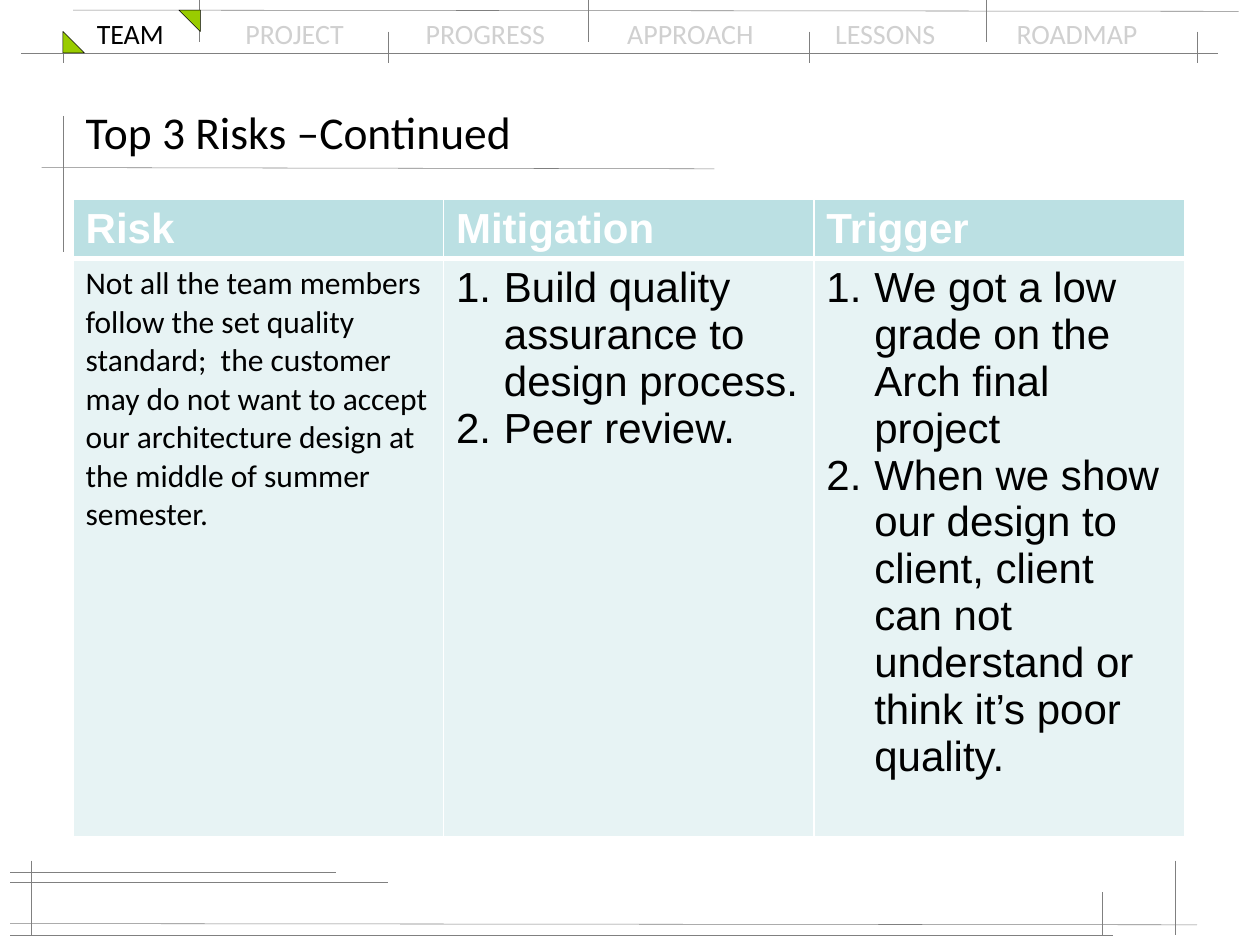
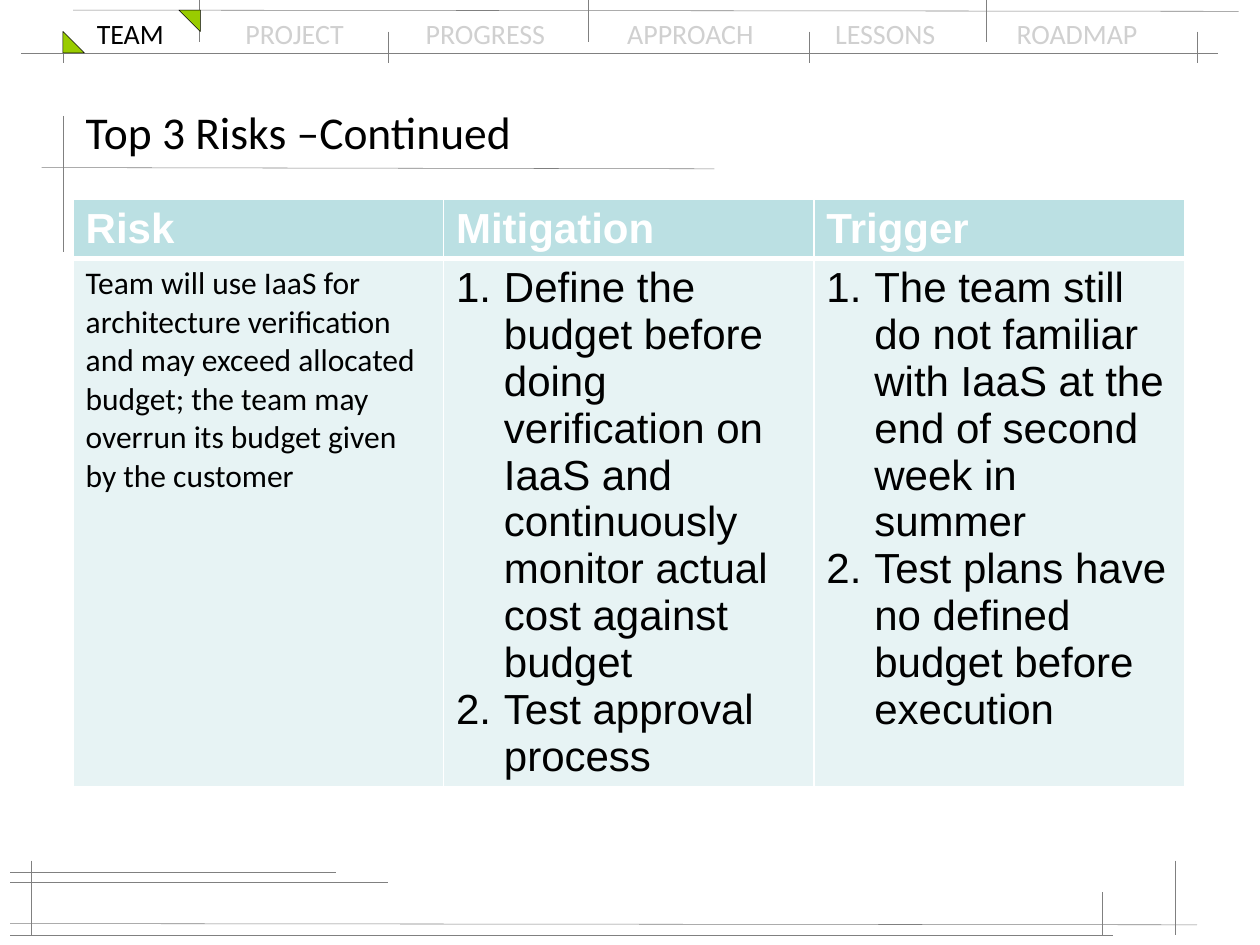
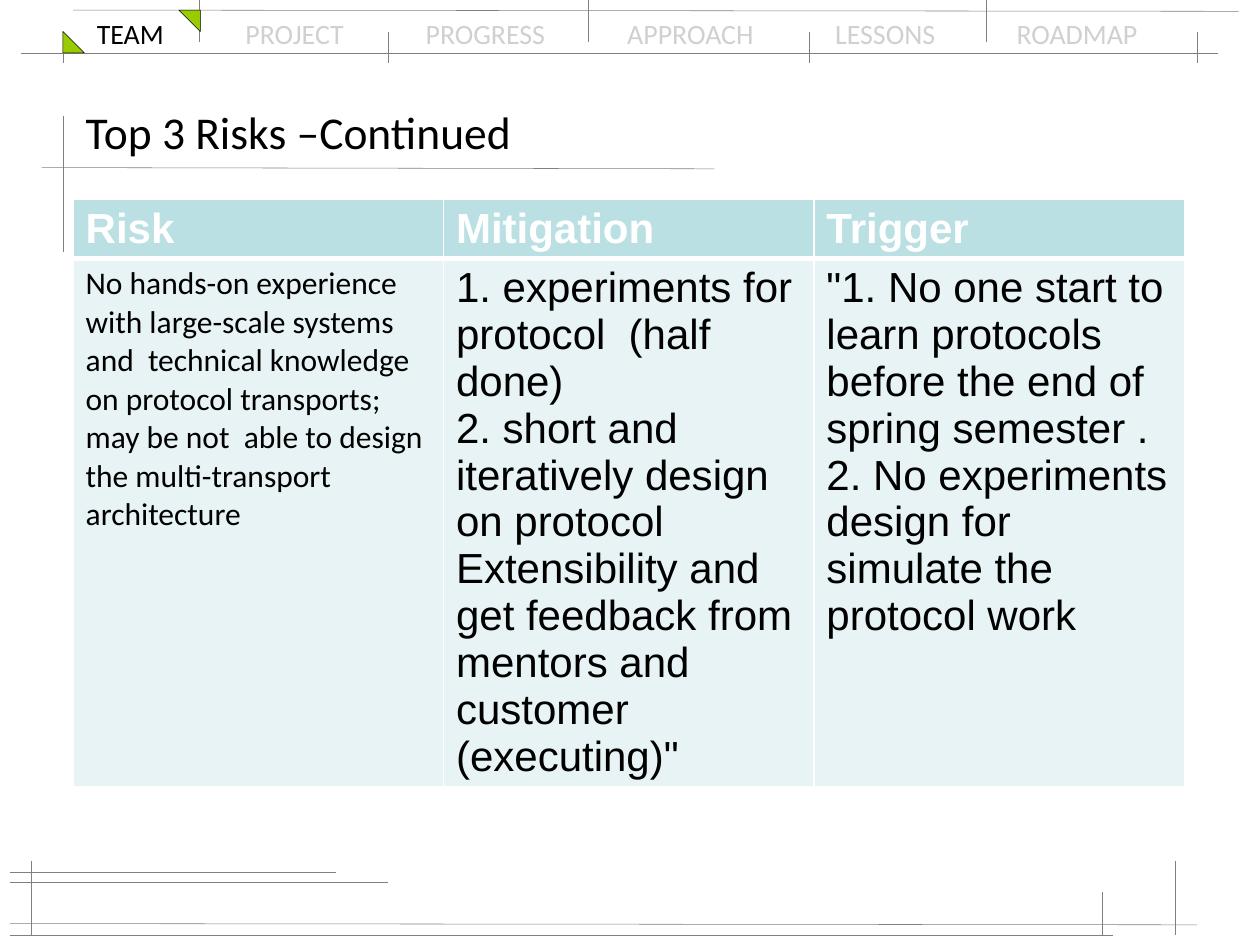
from typing import NamedTuple

from lxml import etree
from pptx import Presentation
from pptx.dml.color import RGBColor
from pptx.enum.shapes import MSO_CONNECTOR, MSO_SHAPE
from pptx.enum.text import MSO_ANCHOR, PP_ALIGN
from pptx.oxml.ns import qn
from pptx.util import Inches, Pt

STRAIGHT = MSO_CONNECTOR.STRAIGHT
RIGHT_TRIANGLE = MSO_SHAPE.RIGHT_TRIANGLE
MIDDLE = MSO_ANCHOR.MIDDLE
LEFT = PP_ALIGN.LEFT

BLACK, WHITE, GREY, PALE_GREY = "000000", "FFFFFF", "808080", "D0D0D0"
GREEN, HEADER_TEAL, BODY_TEAL = "99CC00", "BBE0E3", "E7F3F4"
HEADING_FONT, TABLE_FONT = "Calibri", "Arial"
HAIRLINE = Pt(0.3)

TITLE = "Top 3 Risks –Continued"
HEADERS = ("Risk", "Mitigation", "Trigger")
COLUMN_WIDTH, HEADER_HEIGHT = 2.94, 0.46
LIST_INDENT = 0.38


class Rule(NamedTuple):
    x1: float
    y1: float
    x2: float
    y2: float


class Corner(NamedTuple):
    left: float
    top: float
    rotation: int


class Section(NamedTuple):
    name: str
    tab: float


class Risk(NamedTuple):
    description: str
    mitigations: tuple[str, ...]
    triggers: tuple[str, ...]
    numbered: bool
    height: float


RULES = [
    # navigation band
    Rule(0.17, 0.42, 9.67, 0.42),
    Rule(0.58, 0.08, 9.83, 0.09),
    # title
    Rule(0.5, 0.92, 0.5, 2),
    Rule(0.33, 1.33, 5.67, 1.34),
    # footer
    Rule(0.08, 7, 3.08, 7),
    Rule(0.08, 7.33, 9.5, 7.34),
    Rule(0.25, 6.83, 0.25, 7.42),
    Rule(0.08, 6.92, 2.67, 6.92),
    Rule(0.08, 7.42, 8.83, 7.42),
    Rule(9.33, 6.83, 9.33, 7.42),
    Rule(8.75, 7.08, 8.75, 7.42),
    # section ticks below and above the band
    *(Rule(x, 0.25, x, 0.5) for x in (0.5, 3.08, 6.42, 9.5)),
    *(Rule(x, -0.25, x, 0.33) for x in (1.58, 4.67, 7.83)),
]
CORNERS = [Corner(0.5, 0.25, 0), Corner(1.42, 0.08, 180)]
CURRENT_SECTION = "TEAM"
OTHER_SECTIONS = [
    Section("PROJECT", 1.18),
    Section("PROGRESS", 2.61),
    Section("APPROACH", 4.21),
    Section("LESSONS", 5.86),
    Section("ROADMAP", 7.3),
]

RISKS = [
    Risk(
        "Not all the team members follow the set quality standard;  the customer "
        "may do not want to accept our architecture design at the middle of "
        "summer semester.",
        ("Build quality assurance to design process.", "Peer review."),
        ("We got a low grade on the Arch final project",
         "When we show our design to client, client can not understand or think "
         "it’s poor quality."),
        numbered=True, height=4.59,
    ),
    Risk(
        "Team will use IaaS for architecture verification and may exceed allocated "
        "budget; the team may overrun its budget given by the customer",
        ("Define the budget before doing verification on IaaS and continuously "
         "monitor actual cost against budget",
         "Test approval process"),
        ("The team still do not familiar with IaaS at the end of second week in "
         "summer",
         "Test plans have no defined budget before execution"),
        numbered=True, height=4.19,
    ),
    Risk(
        "No hands-on experience with large-scale systems and  technical knowledge "
        "on protocol transports; may be not  able to design the multi-transport "
        "architecture",
        ("1. experiments for protocol  (half done)",
         "2. short and iteratively design on protocol Extensibility and get "
         "feedback from mentors and customer (executing)\""),
        ("\"1. No one start to learn protocols before the end of spring semester .",
         "2. No experiments design for simulate the protocol work"),
        numbered=False, height=4.19,
    ),
]


def rgb(color: str) -> RGBColor:
    return RGBColor.from_string(color)


def set_font(font, name: str, size: int, color: str, bold: bool = False) -> None:
    font.name, font.size, font.bold = name, Pt(size), bold
    font.color.rgb = rgb(color)


def add_rule(slide, rule: Rule):
    line = slide.shapes.add_connector(STRAIGHT, *(Inches(v) for v in rule))
    line.line.color.rgb = rgb(GREY)
    line.line.width = HAIRLINE
    etree.SubElement(line.element.spPr, qn("a:effectLst"))
    return line


def add_corner(slide, corner: Corner):
    side = Inches(0.17)
    triangle = slide.shapes.add_shape(
        RIGHT_TRIANGLE, Inches(corner.left), Inches(corner.top), side, side)
    triangle.rotation = corner.rotation
    triangle.shadow.inherit = False
    triangle.fill.solid()
    triangle.fill.fore_color.rgb = rgb(GREEN)
    triangle.line.color.rgb = rgb(BLACK)
    triangle.line.width = HAIRLINE
    return triangle


def add_navigation(slide):
    box = slide.shapes.add_textbox(
        Inches(0.67), Inches(0.08), Inches(8.67), Inches(0.37))
    box.text_frame.word_wrap = True
    paragraph = box.text_frame.paragraphs[0]
    tabs = etree.SubElement(paragraph._p.get_or_add_pPr(), qn("a:tabLst"))
    for section in OTHER_SECTIONS:
        etree.SubElement(tabs, qn("a:tab"), pos=str(Inches(section.tab)), algn="l")
    others = "".join(f"\t{section.name}" for section in OTHER_SECTIONS)
    for text, color in ((CURRENT_SECTION, BLACK), (others, PALE_GREY)):
        run = paragraph.add_run()
        run.text = text
        set_font(run.font, HEADING_FONT, 16, color)
    return box


def decorate_layout(layout, slide) -> None:
    """Draw the shared parts on a slide, then move them to its layout."""
    for placeholder in list(layout.placeholders):
        if placeholder.placeholder_format.idx != 0:
            layout.shapes.element.remove(placeholder.element)
    shared = [add_navigation(slide)]
    shared += [add_rule(slide, rule) for rule in RULES]
    shared += [add_corner(slide, corner) for corner in CORNERS]
    for part in shared:
        layout.shapes.element.append(part.element)


def set_title(slide) -> None:
    title = slide.shapes.title
    title.left, title.top = Inches(0.58), Inches(0.75)
    title.width, title.height = Inches(8.83), Inches(0.58)
    title.text_frame.text = TITLE
    title.text_frame.vertical_anchor = MIDDLE
    paragraph = title.text_frame.paragraphs[0]
    paragraph.alignment = LEFT
    set_font(paragraph.font, HEADING_FONT, 26, BLACK)


def style_cell(cell, fill: str, top: float, bottom: float) -> None:
    """Fill a cell and give it white borders, widths in points."""
    cell.fill.solid()
    cell.fill.fore_color.rgb = rgb(fill)
    borders = (("lnL", 1), ("lnR", 1), ("lnT", top), ("lnB", bottom))
    for position, (tag, width) in enumerate(borders):
        border = etree.Element(qn(f"a:{tag}"), w=str(Pt(width)))
        solid = etree.SubElement(border, qn("a:solidFill"))
        etree.SubElement(solid, qn("a:srgbClr"), val=WHITE)
        cell._tc.get_or_add_tcPr().insert(position, border)


def write_cell(cell, lines: tuple[str, ...], font: str, size: int, color: str,
               bold: bool = False, numbered: bool = False) -> None:
    cell.text_frame.text = "\n".join(lines)
    for paragraph in cell.text_frame.paragraphs:
        if numbered:
            properties = paragraph._p.get_or_add_pPr()
            properties.set("marL", str(Inches(LIST_INDENT)))
            properties.set("indent", str(-Inches(LIST_INDENT)))
            etree.SubElement(properties, qn("a:buFont"), typeface="+mj-lt")
            etree.SubElement(properties, qn("a:buAutoNum"), type="arabicPeriod")
        set_font(paragraph.font, font, size, color, bold)


def add_risk_table(slide, risk: Risk) -> None:
    table = slide.shapes.add_table(
        2, len(HEADERS), Inches(0.58), Inches(1.58),
        Inches(COLUMN_WIDTH * len(HEADERS)),
        Inches(HEADER_HEIGHT + risk.height)).table
    table.horz_banding = False
    table.rows[0].height = Inches(HEADER_HEIGHT)
    table.rows[1].height = Inches(risk.height)
    for index, header in enumerate(HEADERS):
        table.columns[index].width = Inches(COLUMN_WIDTH)
        heading, body = table.cell(0, index), table.cell(1, index)
        style_cell(heading, HEADER_TEAL, top=1, bottom=3)
        style_cell(body, BODY_TEAL, top=3, bottom=1)
        write_cell(heading, (header,), TABLE_FONT, 24, WHITE, bold=True)
    write_cell(table.cell(1, 0), (risk.description,), HEADING_FONT, 18, BLACK)
    for index, lines in enumerate((risk.mitigations, risk.triggers), start=1):
        write_cell(table.cell(1, index), lines, TABLE_FONT, 24, BLACK,
                   numbered=risk.numbered)


def main() -> None:
    deck = Presentation()
    deck.slide_width, deck.slide_height = Inches(10), Inches(7.5)
    layout = deck.slide_layouts.get_by_name("Title Only")
    slides = [deck.slides.add_slide(layout) for _ in RISKS]
    decorate_layout(layout, slides[0])
    for slide, risk in zip(slides, RISKS):
        set_title(slide)
        add_risk_table(slide, risk)
    deck.save("out.pptx")


if __name__ == "__main__":
    main()
